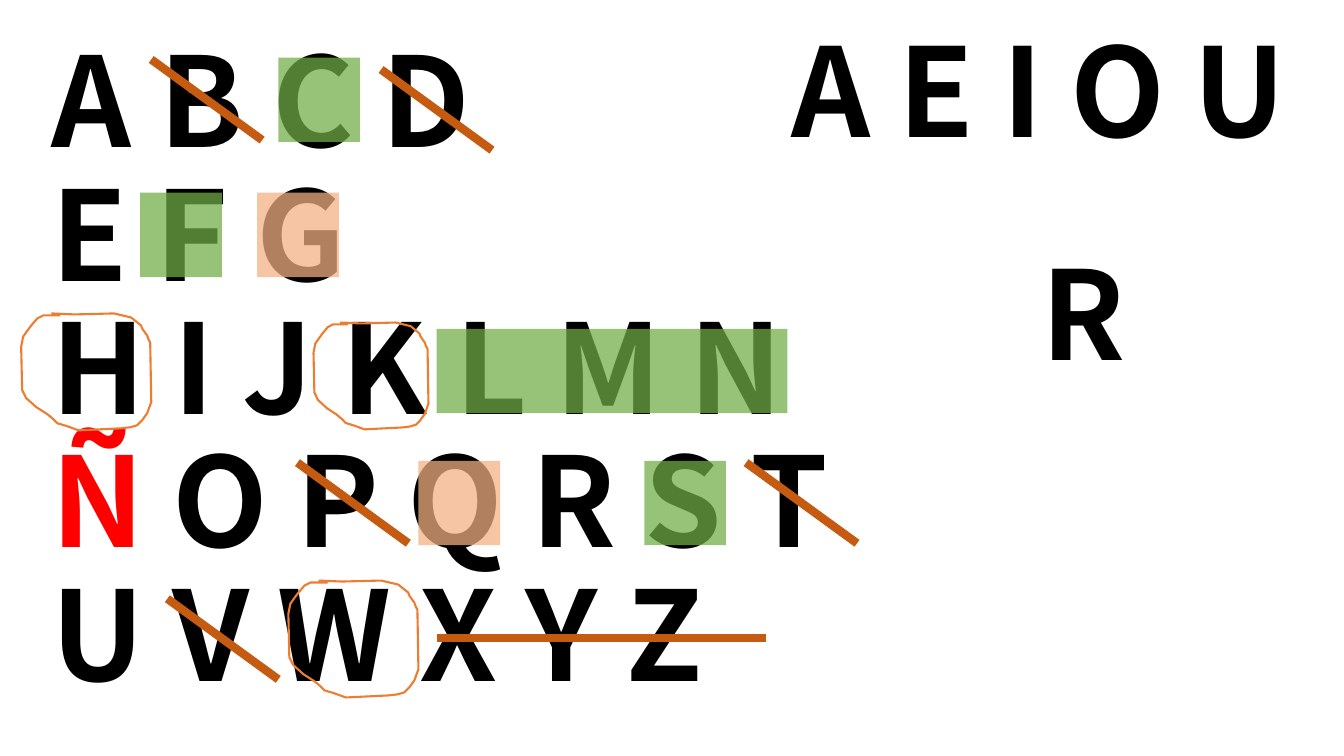
"""Build the alphabet slide with struck, highlighted and circled letters."""
from dataclasses import dataclass

from lxml.etree import SubElement
from pptx import Presentation
from pptx.dml.color import RGBColor
from pptx.enum.shapes import MSO_CONNECTOR
from pptx.oxml.ns import qn
from pptx.slide import Slide
from pptx.text.text import _Paragraph as Paragraph
from pptx.util import Inches, Pt

COLORS = {
    "letter": "000000",
    "special": "FF0000",
    "strike": "C55A11",
    "green": "70AD47",
    "peach": "F4B183",
    "circle": "ED7D31",
}
LETTER_FORMAT = {"name": "Noto Sans CJK SC", "bold": True}
STRIKE_WIDTH, HIGHLIGHT_WIDTH, CIRCLE_WIDTH = 6, 60.25, 1.5
HIGHLIGHT_ALPHA = 72


@dataclass(frozen=True)
class Span:
    text: str
    color: str = "letter"


@dataclass(frozen=True)
class Letters:
    left: float
    top: float
    width: float
    height: float
    size: float
    rows: tuple[tuple[Span, ...], ...]
    line_spacing: float = 1.0


@dataclass(frozen=True)
class Mark:
    left: float
    top: float
    color: str
    width: float = 0.81
    drop: float = 0
    weight: float = HIGHLIGHT_WIDTH
    alpha: int = HIGHLIGHT_ALPHA


@dataclass(frozen=True)
class Circle:
    left: float
    top: float
    width: float = 1.29
    height: float = 1.16


def strike(left: float, top: float, width: float = 1.1, drop: float = 0.8) -> Mark:
    return Mark(left, top, "strike", width, drop, STRIKE_WIDTH, 100)


ALPHABET_ROWS = (
    (Span("A B C D"),),
    (Span("E F G"),),
    (Span("H I J K L M N"),),
    (Span("Ñ ", "special"), Span("O P Q R S T")),
    (Span("U V W X Y Z"),),
)
ALPHABET = Letters(0.41, 0.47, 12.71, 6.94, 88.8, ALPHABET_ROWS, 0.8)
VOWELS = Letters(7.75, 0.09, 5.38, 1.58, 88, ((Span("A E I O U"),),))
LETTER_R = Letters(10.23, 2.31, 1.93, 1.58, 88, ((Span("R"),),))

CIRCLES = (Circle(0.21, 3.11), Circle(3.11, 3.2, 1.14, 1.06), Circle(2.86, 5.76))
MARKS = (
    strike(4.33, 6.33, 3.27, 0),
    strike(1.66, 5.94),
    strike(1.5, 0.59),
    strike(2.95, 4.59),
    strike(7.4, 4.59),
    strike(3.78, 0.69),
    Mark(4.33, 3.68, "green", 3.48),
    Mark(1.39, 2.33, "green"),
    Mark(6.39, 4.99, "green"),
    Mark(2.76, 0.99, "green"),
    Mark(2.55, 2.33, "peach"),
    Mark(4.15, 4.99, "peach"),
)

CIRCLE_SIZE = (129, 116)
CIRCLE_POINTS = (
    (39, 2), (22, 2), (16, 5), (10, 12), (7, 16), (2, 23), (0, 33), (1, 76),
    (5, 84), (15, 93), (26, 100), (32, 105), (36, 109), (46, 112), (57, 116),
    (99, 114), (108, 113), (115, 111), (120, 106), (125, 99), (129, 88),
    (128, 29), (126, 25), (125, 22), (120, 15), (119, 12), (109, 4), (92, 0),
    (53, 1), (30, 0),
)


def color_of(name: str) -> RGBColor:
    return RGBColor.from_string(COLORS[name])


def write_row(paragraph: Paragraph, spans: tuple[Span, ...], size: float) -> None:
    for span in spans:
        run = paragraph.add_run()
        run.text = span.text
        for name, value in LETTER_FORMAT.items():
            setattr(run.font, name, value)
        run.font.size = Pt(size)
        run.font.color.rgb = color_of(span.color)


def draw_letters(page: Slide, letters: Letters) -> None:
    box = page.shapes.add_textbox(Inches(letters.left), Inches(letters.top),
                                  Inches(letters.width), Inches(letters.height))
    frame = box.text_frame
    frame.word_wrap = True
    for index, spans in enumerate(letters.rows):
        paragraph = frame.add_paragraph() if index else frame.paragraphs[0]
        paragraph.line_spacing = letters.line_spacing
        if index:
            paragraph.space_before = Pt(10)
        write_row(paragraph, spans, letters.size)


def draw_circle(page: Slide, circle: Circle) -> None:
    points = [(Inches(circle.left + x * circle.width / CIRCLE_SIZE[0]),
               Inches(circle.top + y * circle.height / CIRCLE_SIZE[1]))
              for x, y in CIRCLE_POINTS]
    builder = page.shapes.build_freeform(*points[0])
    builder.add_line_segments(points[1:], close=False)
    outline = builder.convert_to_shape()
    outline.shadow.inherit = False
    outline.fill.background()
    outline.line.color.rgb = color_of("circle")
    outline.line.width = Pt(CIRCLE_WIDTH)


def draw_mark(page: Slide, mark: Mark) -> None:
    connector = page.shapes.add_connector(
        MSO_CONNECTOR.STRAIGHT, Inches(mark.left), Inches(mark.top),
        Inches(mark.left + mark.width), Inches(mark.top + mark.drop))
    connector.line.color.rgb = color_of(mark.color)
    connector.line.width = Pt(mark.weight)
    properties = connector._element.spPr
    if mark.alpha < 100:
        color = next(properties.iter(qn("a:srgbClr")))
        SubElement(color, qn("a:alpha")).set("val", str(mark.alpha * 1000))
    SubElement(properties, qn("a:effectLst"))


def main() -> None:
    deck = Presentation()
    deck.slide_width, deck.slide_height = Inches(13.33), Inches(7.5)
    page = deck.slides.add_slide(deck.slide_layouts[6])
    draw_letters(page, ALPHABET)
    for circle in CIRCLES:
        draw_circle(page, circle)
    for mark in MARKS:
        draw_mark(page, mark)
    for letters in (VOWELS, LETTER_R):
        draw_letters(page, letters)
    deck.save("out.pptx")


if __name__ == "__main__":
    main()
